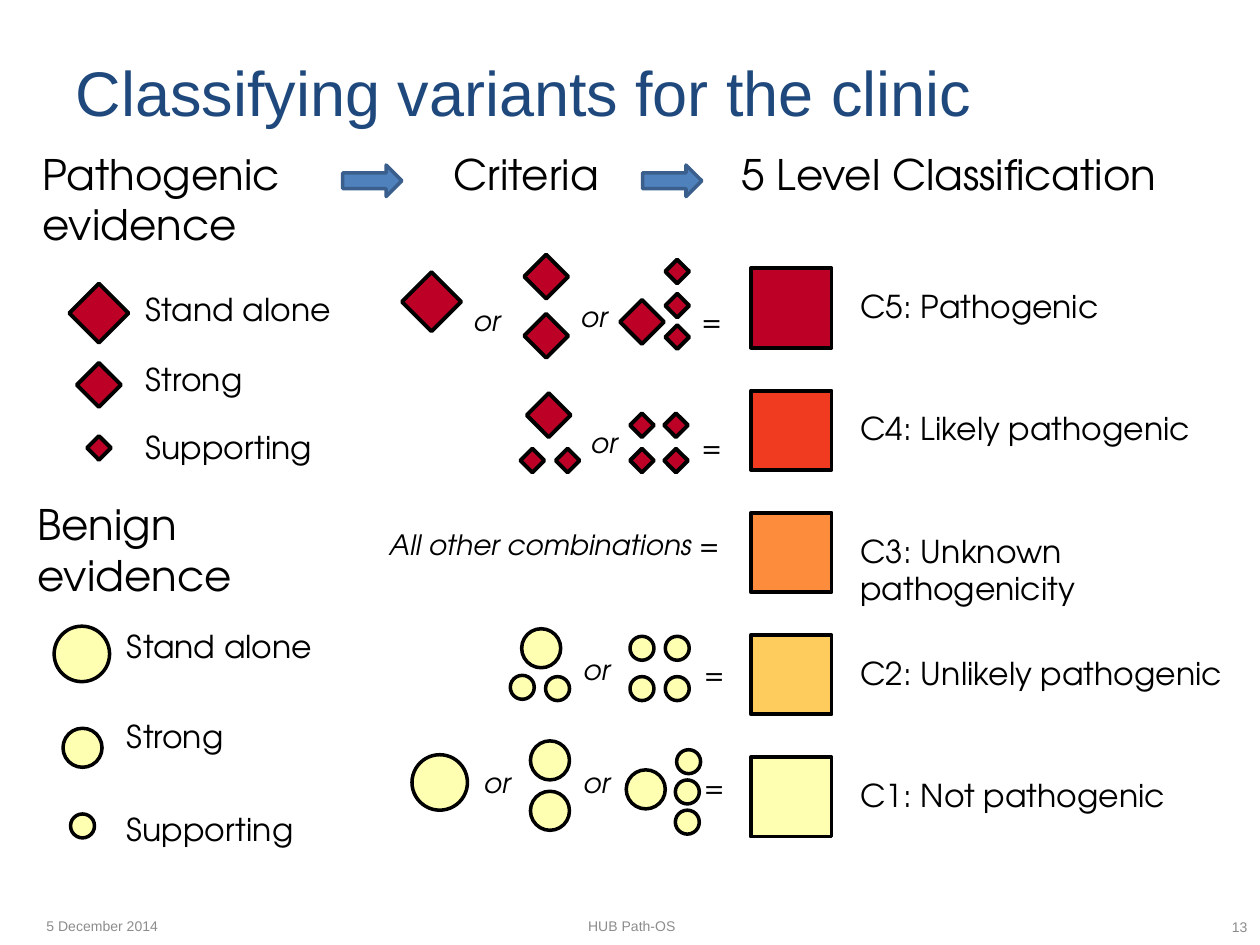
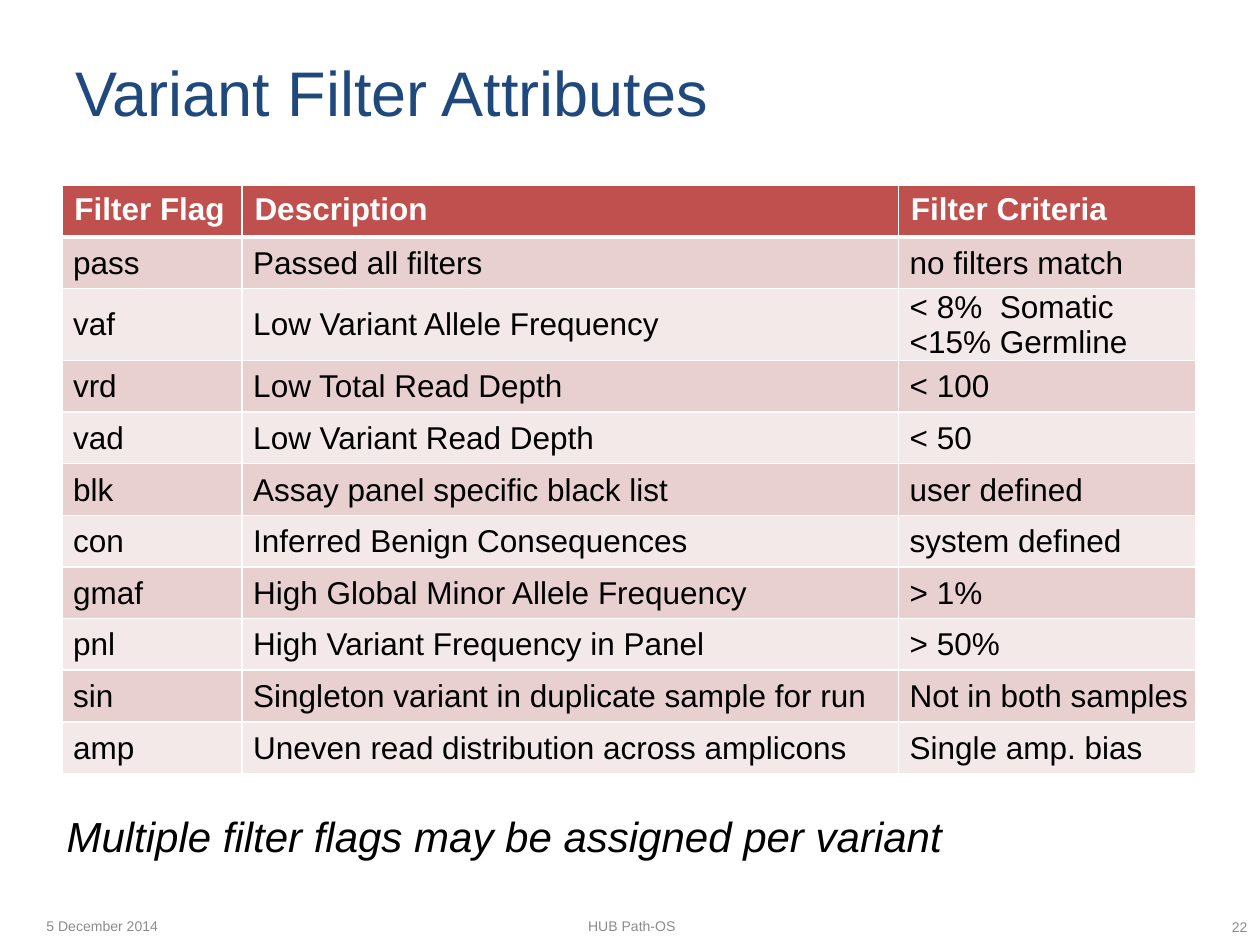
from collections import namedtuple
from itertools import product

from lxml import etree
from pptx import Presentation
from pptx.dml.color import RGBColor
from pptx.enum.shapes import MSO_SHAPE
from pptx.enum.text import MSO_ANCHOR, MSO_AUTO_SIZE, PP_ALIGN
from pptx.oxml.ns import qn
from pptx.util import Pt

PX = 9144  # 100 px to the inch
TITLE_ONLY = 5

COLORS = {
    "title": "1F497D", "text": "000000", "footer": "8C8C8C", "white": "FFFFFF",
    "arrow": "4F81BD", "arrow edge": "3A5F8C",
    "C5": "BD0026", "C4": "F03B20", "C3": "FD8D3C", "C2": "FECC5C", "C1": "FFFFB2",
    "header": "C0504D", "odd row": "E8D0D0", "even row": "F4E9E9",
}
DIAGRAM_FONT = "TeX Gyre Adventor"
PLAIN_FONT = "Arial"

Evidence = namedtuple("Evidence", "outline color weight sizes")
PATHOGENIC = Evidence(MSO_SHAPE.DIAMOND, "C5", 2.25,
                      {"Stand alone": 47, "Strong": 35, "Supporting": 19})
BENIGN = Evidence(MSO_SHAPE.OVAL, "C1", 2,
                  {"Stand alone": 44, "Strong": 31, "Supporting": 19})

# Heading, its box, symbol centre, label left, then (symbol top, label top) per strength
EVIDENCE_KEYS = [
    (PATHOGENIC, "Pathogenic evidence", (24, 113, 303, 91), 78, 106,
     [(225, 225), (288, 281), (346, 335)]),
    (BENIGN, "Benign\nevidence", (20, 391, 244, 91), 65, 91,
     [(497, 493), (578, 564), (646, 638)]),
]

CLASSES = ["C5: Pathogenic", "C4: Likely pathogenic", "C3: Unknown pathogenicity",
           "C2: Unlikely pathogenic", "C1: Not pathogenic"]
CLASS_TOP, CLASS_STEP = 213, 97

# Evidence needed for each class: symbol corners by strength
CRITERIA = [
    (PATHOGENIC, {"Stand alone": [(319, 216)],
                  "Strong": [(416, 202), (416, 249), (492, 238)],
                  "Supporting": [(528, 206), (528, 233), (528, 258)]}),
    (PATHOGENIC, {"Strong": [(418, 312)],
                  "Supporting": [(413, 356), (441, 356),
                                 *product((500, 527), (328, 356))]}),
    (BENIGN, {"Strong": [(414, 499)],
              "Supporting": [(405, 536), (433, 537),
                             *product((500, 528), (505, 537))]}),
    (BENIGN, {"Stand alone": [(327, 599)],
              "Strong": [(421, 588), (421, 628), (497, 611)],
              "Supporting": [(537, 595), (536, 619), (536, 643)]}),
]
OPERATORS = {
    "or": (46, [(366, 236), (451, 233), (459, 333), (453, 513), (374, 603), (453, 603)]),
    "=": (39, [(547, 236), (547, 336), (549, 516), (549, 606)]),
    "All other combinations =": (288, [(299, 414)]),
}

FILTERS = [
    ("Filter Flag", "Description", "Filter Criteria"),
    ("pass", "Passed all filters", "no filters match"),
    ("vaf", "Low Variant Allele Frequency", "< 8%  Somatic\n<15% Germline"),
    ("vrd", "Low Total Read Depth", "< 100"),
    ("vad", "Low Variant Read Depth", "< 50"),
    ("blk", "Assay panel specific black list", "user defined"),
    ("con", "Inferred Benign Consequences", "system defined"),
    ("gmaf", "High Global Minor Allele Frequency", "> 1%"),
    ("pnl", "High Variant Frequency in Panel", "> 50%"),
    ("sin", "Singleton variant in duplicate sample for run", "Not in both samples"),
    ("amp", "Uneven read distribution across amplicons", "Single amp. bias"),
]


def rgb(color):
    return RGBColor.from_string(COLORS[color])


def apply(target, values):
    for attribute, value in values.items():
        setattr(target, attribute, value)


def px(*lengths):
    return [length * PX for length in lengths]


class Deck:
    def __init__(self):
        self.prs = Presentation()
        apply(self.prs, {"slide_width": 1000 * PX, "slide_height": 750 * PX})
        self.slide = None

    def fill_frame(self, frame, text, size, color="text", font=PLAIN_FONT,
                   align=PP_ALIGN.LEFT, **look):
        """Put formatted text in a frame, one paragraph a line."""
        frame.text = text
        for paragraph in frame.paragraphs:
            paragraph.alignment = align
            for run in paragraph.runs:
                apply(run.font, {"name": font, "size": Pt(size), **look})
                run.font.color.rgb = rgb(color)

    def start(self, title, number):
        """Add a slide with its title and footer line."""
        layout = self.prs.slide_layouts[TITLE_ONLY]
        self.slide = self.prs.slides.add_slide(layout)
        heading = self.slide.shapes.title
        left, top, width, height = px(50, 30, 900, 85)
        apply(heading, {"left": left, "top": top, "width": width, "height": height})
        self.fill_frame(heading.text_frame, title, 36, "title")
        fixed = {"vertical_anchor": MSO_ANCHOR.MIDDLE, "auto_size": MSO_AUTO_SIZE.NONE}
        apply(heading.text_frame, fixed)
        for text, box, align in (
                ("5 December 2014", (27, 719, 233, 31), PP_ALIGN.LEFT),
                ("HUB Path-OS", (343, 719, 317, 31), PP_ALIGN.CENTER),
                (str(number), (767, 722, 233, 28), PP_ALIGN.RIGHT)):
            self.text(text, box, 8, frame_format=fixed, color="footer", align=align)

    def text(self, text, box, size, wrap=True, frame_format=None, **style):
        frame = self.slide.shapes.add_textbox(*px(*box)).text_frame
        self.fill_frame(frame, text, size, **style)
        apply(frame, {"word_wrap": wrap, "auto_size": MSO_AUTO_SIZE.SHAPE_TO_FIT_TEXT,
                      **(frame_format or {})})

    def shape(self, outline, box, fill, edge="text", weight=2.25):
        shape = self.slide.shapes.add_shape(outline, *px(*box))
        shape.shadow.inherit = False
        shape.fill.solid()
        shape.fill.fore_color.rgb = rgb(fill)
        shape.line.color.rgb = rgb(edge)
        shape.line.width = Pt(weight)

    def symbol(self, evidence, strength, left, top):
        size = evidence.sizes[strength]
        self.shape(evidence.outline, (left, top, size, size), evidence.color,
                   weight=evidence.weight)

    def borders(self, cell, top, bottom):
        """Draw white cell borders, 1 pt at the sides."""
        properties = cell._tc.get_or_add_tcPr()
        sides = {"a:lnL": 1, "a:lnR": 1, "a:lnT": top, "a:lnB": bottom}
        for position, (side, weight) in enumerate(sides.items()):
            line = etree.Element(qn(side), w=str(Pt(weight)))
            solid = etree.SubElement(line, qn("a:solidFill"))
            etree.SubElement(solid, qn("a:srgbClr"), val=COLORS["white"])
            properties.insert(position, line)

    def table(self, rows, box, widths, row_height):
        table = self.slide.shapes.add_table(len(rows), len(widths), *px(*box)).table
        for column, width in zip(table.columns, widths):
            column.width = width * PX
        for r, row in enumerate(rows):
            table.rows[r].height = row_height * PX
            header = r == 0
            fill = "header" if header else "odd row" if r % 2 else "even row"
            for c, text in enumerate(row):
                cell = table.cell(r, c)
                self.fill_frame(cell.text_frame, text, 18,
                                "white" if header else "text", bold=header)
                if not header:
                    apply(cell, {"vertical_anchor": MSO_ANCHOR.MIDDLE,
                                 "margin_left": 9 * PX, "margin_right": PX,
                                 "margin_top": PX, "margin_bottom": 0})
                cell.fill.solid()
                cell.fill.fore_color.rgb = rgb(fill)
                self.borders(cell, top=3 if r == 1 else 1, bottom=3 if header else 1)


def classification_slide(deck):
    deck.start("Classifying variants for the clinic", 13)
    diagram = {"font": DIAGRAM_FONT}

    deck.text("Criteria", (350, 113, 138, 50), 24, wrap=False, **diagram)
    deck.text("5 Level Classification", (579, 113, 355, 50), 24, wrap=False, **diagram)
    for left in (272, 510):
        deck.shape(MSO_SHAPE.RIGHT_ARROW, (left, 131, 47, 25), "arrow", "arrow edge", 2)

    for evidence, heading, box, centre, label_left, tops in EVIDENCE_KEYS:
        deck.text(heading, box, 24, **diagram)
        for (strength, size), (top, label_top) in zip(evidence.sizes.items(), tops):
            deck.symbol(evidence, strength, centre - size // 2, top)
            deck.text(strength, (label_left, label_top, 190, 40), 18, **diagram)

    for evidence, needed in CRITERIA:
        for strength, corners in needed.items():
            for left, top in corners:
                deck.symbol(evidence, strength, left, top)
    for operator, (width, corners) in OPERATORS.items():
        for left, top in corners:
            deck.text(operator, (left, top, width, 37), 16, wrap=False,
                      italic=True, **diagram)

    for i, label in enumerate(CLASSES):
        top = CLASS_TOP + i * CLASS_STEP
        deck.shape(MSO_SHAPE.RECTANGLE, (596, top, 64, 63), label[:2])
        deck.text(label, (673, top + 10, 315, 40), 18, **diagram)


def filter_slide(deck):
    deck.start("Variant Filter Attributes", 22)
    deck.table(FILTERS, (49, 147, 900, 467), (143, 521, 236), 41)
    deck.text("Multiple filter flags may be assigned per variant",
              (43, 638, 730, 50), 24, wrap=False, italic=True)


def main():
    deck = Deck()
    classification_slide(deck)
    filter_slide(deck)
    deck.prs.save("out.pptx")


if __name__ == "__main__":
    main()
